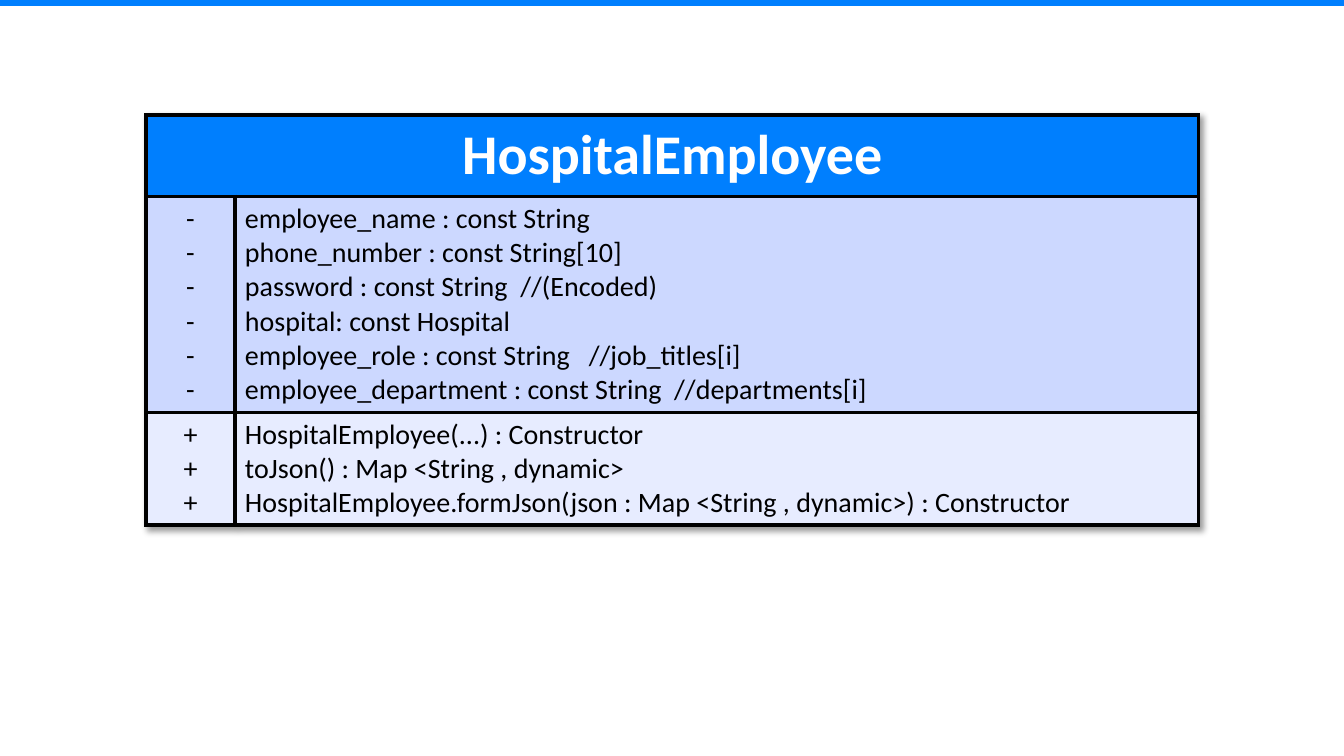
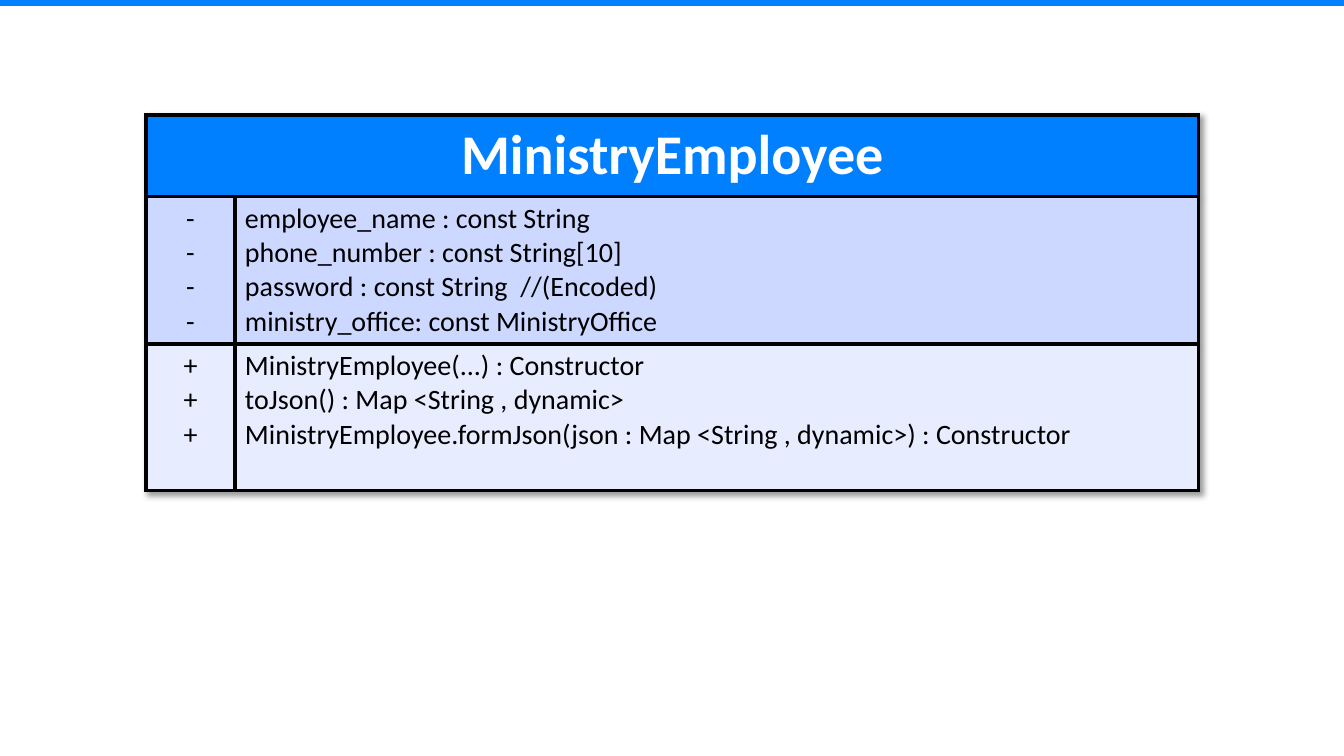
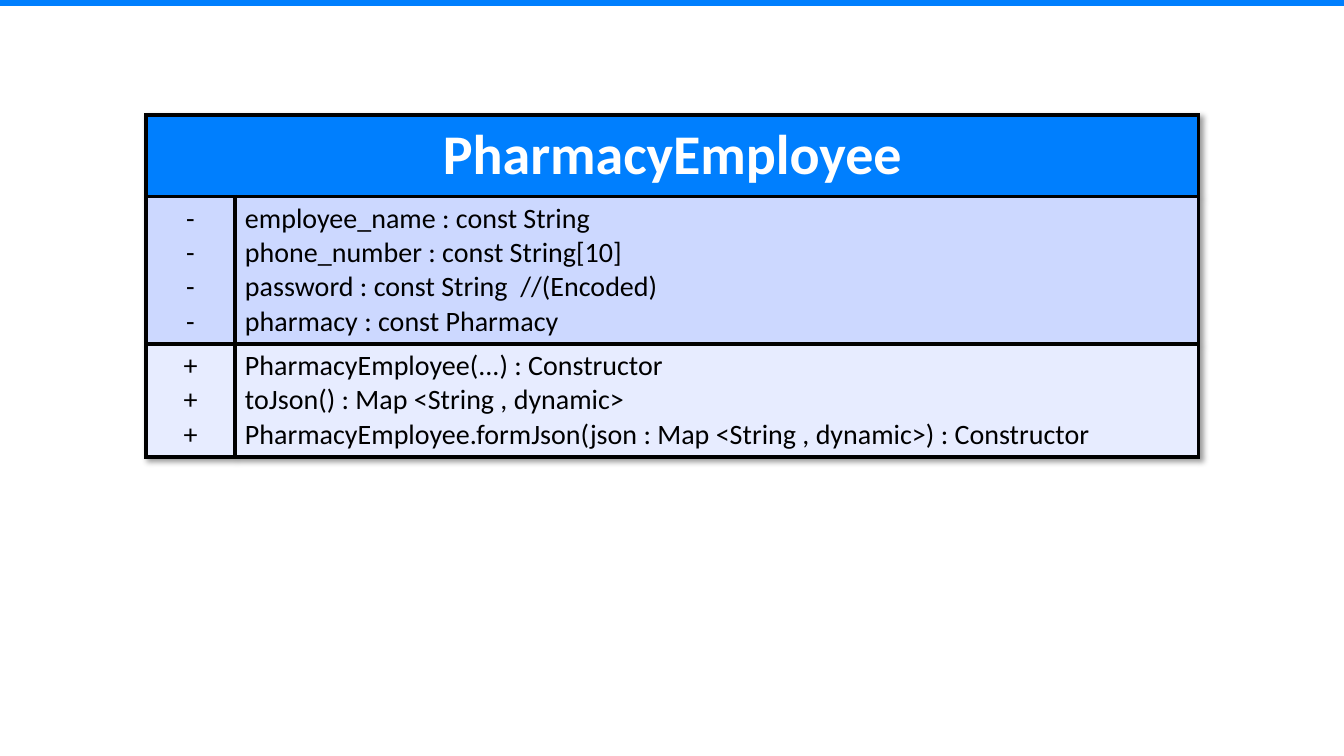
from lxml import etree
from pptx import Presentation
from pptx.dml.color import RGBColor
from pptx.enum.shapes import MSO_SHAPE
from pptx.enum.text import MSO_ANCHOR, PP_ALIGN
from pptx.oxml import parse_xml
from pptx.oxml.ns import nsdecls, qn
from pptx.util import Pt

RECTANGLE = MSO_SHAPE.RECTANGLE
MIDDLE, TOP = MSO_ANCHOR.MIDDLE, MSO_ANCHOR.TOP
CENTER, LEFT = PP_ALIGN.CENTER, PP_ALIGN.LEFT

SLIDE_WIDTH, SLIDE_HEIGHT = 960, 540
BLANK_LAYOUT = 6
PRIVATE, PUBLIC = "-", "+"

SHARED_FIELDS = [
    "employee_name : const String",
    "phone_number : const String[10]",
    "password : const String  //(Encoded)",
]
# Class name, its own fields, spare lines below the methods
CLASSES = [
    ("HospitalEmployee", [
        "hospital: const Hospital",
        "employee_role : const String   //job_titles[i]",
        "employee_department : const String  //departments[i]",
    ], 0),
    ("MinistryEmployee", ["ministry_office: const MinistryOffice"], 1),
    ("PharmacyEmployee", ["pharmacy : const Pharmacy"], 0),
]


def rgb(hex_color):
    return RGBColor.from_string(hex_color)


def methods_of(class_name):
    return [
        f"{class_name}(...) : Constructor",
        "toJson() : Map <String , dynamic>",
        f"{class_name}.formJson(json : Map <String , dynamic>) : Constructor",
    ]


class ClassDeck:
    """Holds the shared style and the slide being filled."""

    FONT = "Calibri"
    ACCENT, FIELD_FILL, METHOD_FILL = "007FFE", "CCD8FF", "E7ECFF"
    INK, PAPER = "000000", "FFFFFF"
    NAME_SIZE, MEMBER_SIZE = 40, 20
    BAND_HEIGHT = 4.3
    TABLE_LEFT, TABLE_TOP = 104.4, 82.1
    COLUMN_WIDTHS = (63.4, 688.3)
    HEADER_HEIGHT, LINE_HEIGHT, CELL_PADDING = 58.3, 24.4, 7.2
    BORDER = 3

    def __init__(self):
        self.deck = Presentation()
        self.deck.slide_width = Pt(SLIDE_WIDTH)
        self.deck.slide_height = Pt(SLIDE_HEIGHT)
        self.slide = None

    def new_slide(self):
        layout = self.deck.slide_layouts[BLANK_LAYOUT]
        self.slide = self.deck.slides.add_slide(layout)
        self.top_band()

    def top_band(self):
        band = self.slide.shapes.add_shape(
            RECTANGLE, 0, 0, Pt(SLIDE_WIDTH), Pt(self.BAND_HEIGHT))
        band.shadow.inherit = False
        band.fill.solid()
        band.fill.fore_color.rgb = rgb(self.ACCENT)
        band.line.fill.background()

    def class_table(self, class_name, fields, methods, spare_lines):
        heights = [self.HEADER_HEIGHT,
                   self.row_height(len(fields)),
                   self.row_height(len(methods) + spare_lines)]
        table = self.slide.shapes.add_table(
            len(heights), len(self.COLUMN_WIDTHS),
            Pt(self.TABLE_LEFT), Pt(self.TABLE_TOP),
            Pt(sum(self.COLUMN_WIDTHS)), Pt(sum(heights))).table
        table.first_row = table.horz_banding = False
        for column, width in zip(table.columns, self.COLUMN_WIDTHS):
            column.width = Pt(width)
        for row, height in zip(table.rows, heights):
            row.height = Pt(height)

        header = table.cell(0, 0)
        header.merge(table.cell(0, 1))
        self.fill_cell(header, [class_name], self.ACCENT, CENTER, MIDDLE,
                       self.NAME_SIZE, self.PAPER, bold=True)
        sections = ((PRIVATE, fields, self.FIELD_FILL),
                    (PUBLIC, methods, self.METHOD_FILL))
        for row, (marker, members, fill) in enumerate(sections, start=1):
            self.fill_cell(table.cell(row, 0), [marker] * len(members),
                           fill, CENTER)
            self.fill_cell(table.cell(row, 1), members, fill)
        for cell in table.iter_cells():
            self.outline(cell)
        self.table_shadow(table)

    def row_height(self, line_count):
        return line_count * self.LINE_HEIGHT + self.CELL_PADDING

    def fill_cell(self, cell, lines, fill, align=LEFT, anchor=TOP,
                  size=MEMBER_SIZE, color=INK, bold=False):
        cell.fill.solid()
        cell.fill.fore_color.rgb = rgb(fill)
        cell.vertical_anchor = anchor
        cell.text_frame.text = "\n".join(lines)
        for paragraph in cell.text_frame.paragraphs:
            paragraph.alignment = align
            font = paragraph.font
            font.name, font.size, font.bold = self.FONT, Pt(size), bold
            font.color.rgb = rgb(color)

    def outline(self, cell):
        """Draw all four borders; they must precede the fill in the XML."""
        properties = cell._tc.get_or_add_tcPr()
        for position, side in enumerate(("lnL", "lnR", "lnT", "lnB")):
            border = etree.Element(qn(f"a:{side}"), w=str(Pt(self.BORDER)))
            solid = etree.SubElement(border, qn("a:solidFill"))
            etree.SubElement(solid, qn("a:srgbClr"), val=self.INK)
            properties.insert(position, border)

    def table_shadow(self, table):
        table._tbl.tblPr.insert(0, parse_xml(
            f'<a:effectLst {nsdecls("a")}>'
            f'<a:outerShdw blurRad="{Pt(4)}" dist="{Pt(3)}" dir="2700000"'
            ' algn="tl" rotWithShape="0">'
            f'<a:srgbClr val="{self.INK}"><a:alpha val="40000"/></a:srgbClr>'
            '</a:outerShdw></a:effectLst>'))


def main():
    builder = ClassDeck()
    for class_name, own_fields, spare_lines in CLASSES:
        builder.new_slide()
        builder.class_table(class_name, SHARED_FIELDS + own_fields,
                            methods_of(class_name), spare_lines)
    builder.deck.save("out.pptx")


if __name__ == "__main__":
    main()
